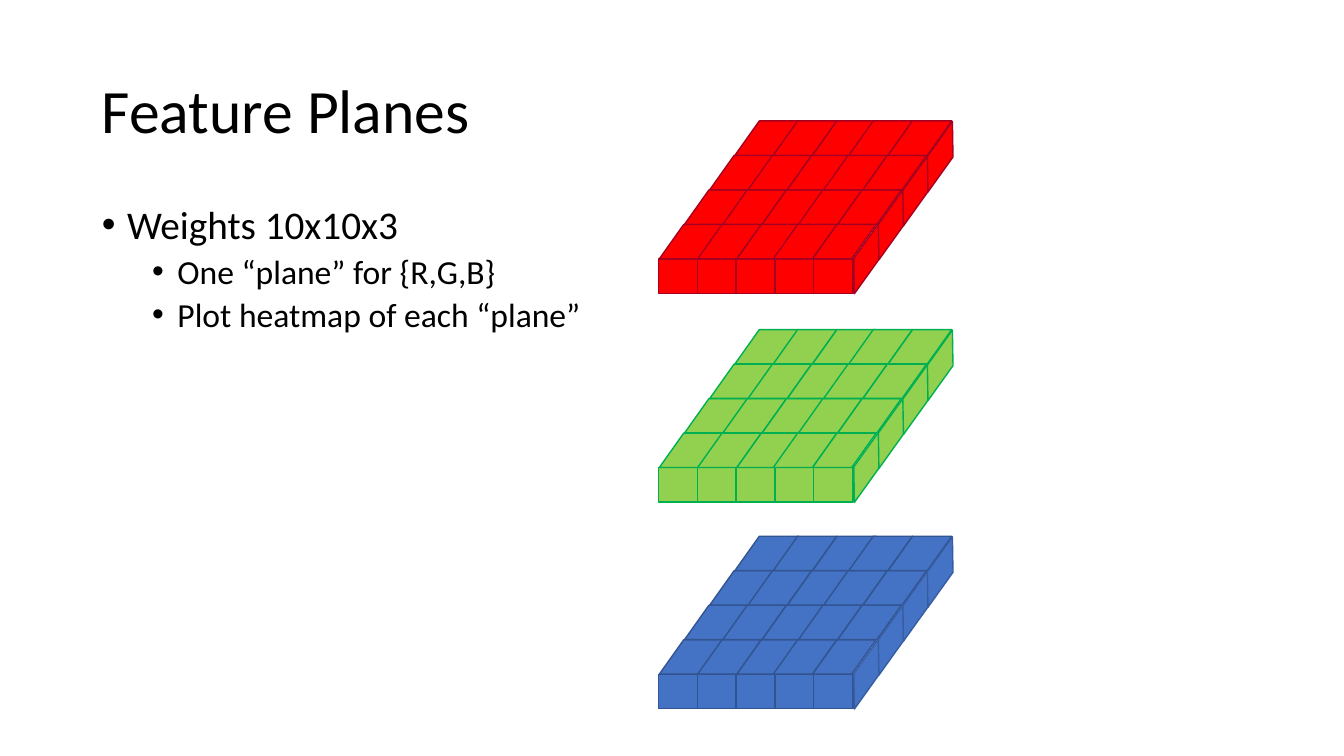
import dataclasses

import lxml.etree
import pptx
import pptx.dml.color
import pptx.enum.shapes
import pptx.enum.text
import pptx.oxml.ns
import pptx.util

Inches = pptx.util.Inches
Pt = pptx.util.Pt
Shape = pptx.enum.shapes.MSO_SHAPE
Anchor = pptx.enum.text.MSO_ANCHOR


@dataclasses.dataclass(frozen=True)
class Theme:
    font: str = "Calibri"
    text: str = "000000"
    title_size: int = 44
    bullet_size: int = 28
    detail_size: int = 24
    outline: int = 1
    blue: tuple = ("4472C4", "325491", "365DA1")
    green: tuple = ("92D050", "00B050", "00B050")
    red: tuple = ("FF0000", "A50021", "A50021")


theme = Theme()


def write(para, text, size, level=0, before=0, bullet=None, indent=0):
    para.alignment = pptx.enum.text.PP_ALIGN.LEFT
    para.level = level
    para.line_spacing = 0.9
    para.space_before = Pt(before)
    if bullet:
        properties = para._p.get_or_add_pPr()
        properties.set("marL", str(Inches(indent)))
        properties.set("indent", str(Inches(-0.25)))
        for tag, key, value in (("a:buFont", "typeface", "Arial"), ("a:buChar", "char", bullet)):
            mark = lxml.etree.SubElement(properties, pptx.oxml.ns.qn(tag))
            mark.set(key, value)
    span = para.add_run()
    span.text = text
    span.font.name = theme.font
    span.font.size = Pt(size)
    span.font.color.rgb = pptx.dml.color.RGBColor.from_string(theme.text)


def add_tile(group, kind, left, top, width, height, fill, line, slant=None, rotation=0):
    tile = group.shapes.add_shape(kind, Inches(left), Inches(top), Inches(width), Inches(height))
    tile.shadow.inherit = False
    tile.fill.solid()
    tile.fill.fore_color.rgb = pptx.dml.color.RGBColor.from_string(fill)
    tile.line.color.rgb = pptx.dml.color.RGBColor.from_string(line)
    tile.line.width = Pt(theme.outline)
    tile.rotation = rotation
    if slant is not None:
        tile.adjustments[0] = slant


deck = pptx.Presentation()
deck.slide_width = Inches(13.33)
deck.slide_height = Inches(7.5)
page = deck.slides.add_slide(deck.slide_layouts[1])

title = page.shapes.title
body = page.placeholders[1]
for box, top, height, anchor in ((title, 0.4, 1.45, Anchor.MIDDLE), (body, 1.99, 4.76, Anchor.TOP)):
    box.left, box.top = Inches(0.91), Inches(top)
    box.width, box.height = Inches(11.5), Inches(height)
    box.text_frame.word_wrap = True
    box.text_frame.auto_size = pptx.enum.text.MSO_AUTO_SIZE.NONE
    box.text_frame.vertical_anchor = anchor

write(title.text_frame.paragraphs[0], "Feature Planes", theme.title_size)
write(body.text_frame.paragraphs[0], "Weights 10x10x3", theme.bullet_size, bullet="•", indent=0.25)
for detail in ("One “plane” for {R,G,B}", "Plot heatmap of each “plane”"):
    write(body.text_frame.add_paragraph(), detail, theme.detail_size,
          level=1, before=5, bullet="•", indent=0.75)

row_count = 4
tile_height = 0.34
row_pitch = 1.37 / row_count
column_offsets = (0, 0.38, 0.77, 1.13, 1.52)
column_pitch = 1.54 / (len(column_offsets) - 1)
side_step = 0.73 / (row_count - 1)
side_rise = 1.01 / (row_count - 1)

for front_top, colors in ((6.69, theme.blue), (4.64, theme.green), (2.57, theme.red)):
    fill, line, side_line = colors
    plane = page.shapes.add_group_shape()
    for column in range(len(column_offsets)):
        add_tile(plane, Shape.RECTANGLE, 6.53 + column * column_pitch, front_top,
                 0.39, tile_height, fill, line)
    for row in range(row_count):
        for offset in column_offsets:
            add_tile(plane, Shape.PARALLELOGRAM, 6.54 + row * 0.25 + offset,
                     front_top - (row + 1) * row_pitch, 0.63, tile_height,
                     fill, line, slant=0.71)
    for row in range(row_count):
        add_tile(plane, Shape.PARALLELOGRAM, 8.24 + row * side_step,
                 front_top - 0.11 - row * side_rise, 0.71, 0.21,
                 fill, side_line, slant=1.35, rotation=125.6)

deck.save("out.pptx")
